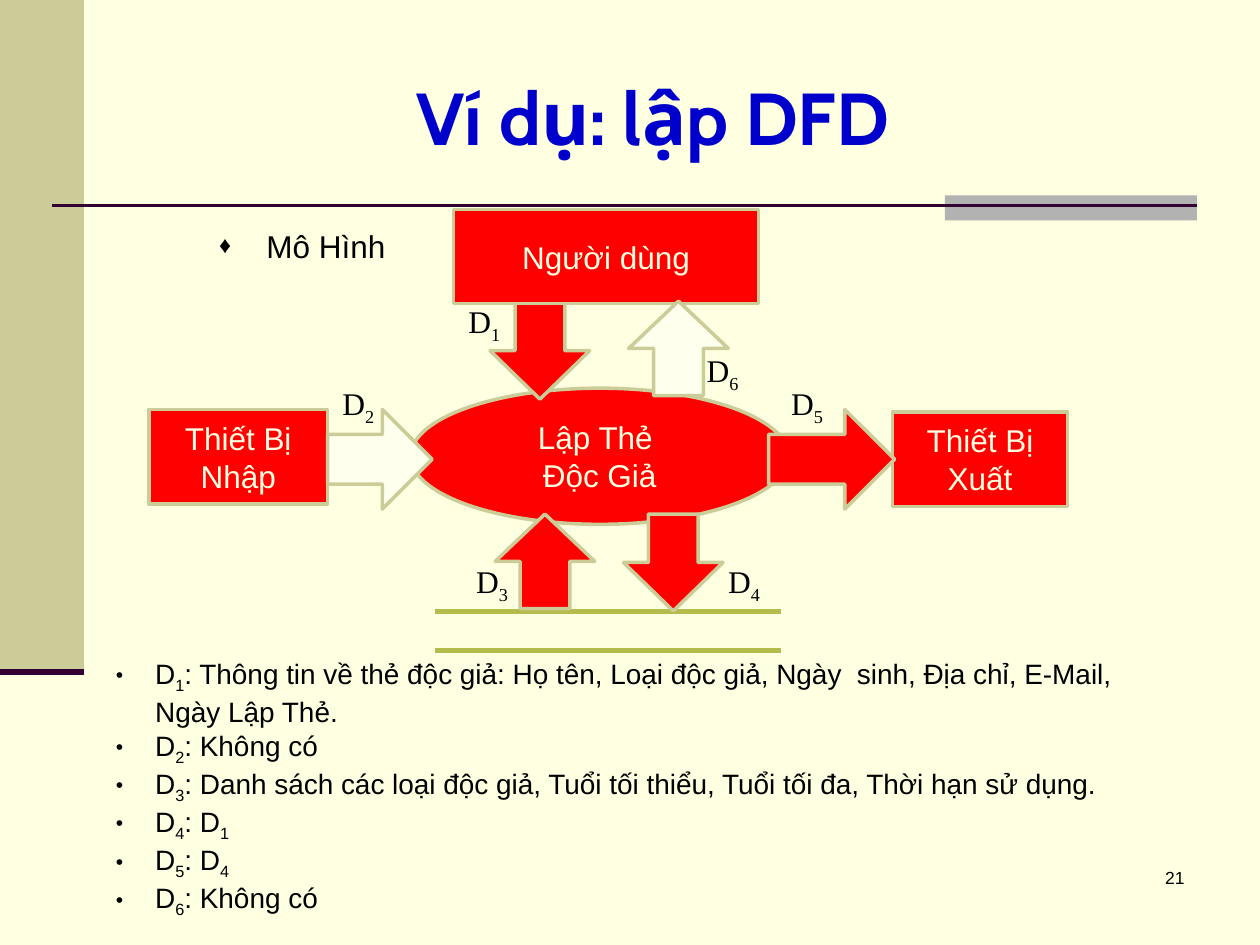
from dataclasses import dataclass

from lxml import etree
from pptx import Presentation
from pptx.dml.color import RGBColor
from pptx.enum.shapes import MSO_CONNECTOR, MSO_SHAPE
from pptx.enum.text import MSO_ANCHOR, MSO_AUTO_SIZE, PP_ALIGN
from pptx.oxml.ns import qn
from pptx.util import Pt

RECT, OVAL, ARROW = MSO_SHAPE.RECTANGLE, MSO_SHAPE.OVAL, MSO_SHAPE.RIGHT_ARROW
STRAIGHT = MSO_CONNECTOR.STRAIGHT
LEFT, CENTER, RIGHT = PP_ALIGN.LEFT, PP_ALIGN.CENTER, PP_ALIGN.RIGHT
TOP, MIDDLE = MSO_ANCHOR.TOP, MSO_ANCHOR.MIDDLE
NO_FIT = MSO_AUTO_SIZE.NONE
DOWN, UP, ACROSS = 90, 270, 0


@dataclass(frozen=True)
class Theme:
    background: str = "FFFFE1"
    rail: str = "CCCC99"
    tab: str = "B2B2B2"
    rule: str = "330033"
    title: str = "0000CC"
    node: str = "FF0000"
    empty_flow: str = "FFFFEE"
    store: str = "B4BC4C"
    text: str = "000000"
    sans: str = "Arial"
    serif: str = "Times New Roman"
    title_font: str = "Cabin"
    title_size: float = 42
    label_size: float = 18
    list_size: float = 16
    number_size: float = 10


THEME = Theme()

FLOW_NOTES = [
    "D_1: Thông tin về thẻ độc giả: Họ tên, Loại độc giả, Ngày  sinh, "
    "Địa chỉ, E-Mail, Ngày Lập Thẻ.",
    "D_2: Không có",
    "D_3: Danh sách các loại độc giả, Tuổi tối thiểu, Tuổi tối đa, "
    "Thời hạn sử dụng.",
    "D_4: D_1",
    "D_5: D_4",
    "D_6: Không có",
]


def rgb(color):
    return RGBColor.from_string(color)


def style_runs(paragraph, size, font=THEME.sans, color=THEME.text, bold=False):
    for run in paragraph.runs:
        run.font.size = Pt(size)
        run.font.name = font
        run.font.bold = bold
        run.font.color.rgb = rgb(color)


def write_subscripted(paragraph, text):
    """Write text in which the character after each underscore is lowered."""
    start, *rest = text.split("_")
    paragraph.text = start
    for part in rest:
        lowered = paragraph.add_run()
        lowered.text = part[0]
        lowered.font._element.set("baseline", "-25000")
        if part[1:]:
            paragraph.add_run().text = part[1:]


def place(holder, left, top, width, height):
    holder.left, holder.top = Pt(left), Pt(top)
    holder.width, holder.height = Pt(width), Pt(height)


def add_block(slide, kind, box, fill, outline=None, text="", turn=0):
    block = slide.shapes.add_shape(kind, *map(Pt, box))
    block.shadow.inherit = False
    block.rotation = turn
    block.fill.solid()
    block.fill.fore_color.rgb = rgb(fill)
    if outline:
        block.line.color.rgb = rgb(outline)
        block.line.width = Pt(2)
    else:
        block.line.fill.background()
    if text:
        block.text_frame.text = text
        block.text_frame.word_wrap = True
        block.text_frame.vertical_anchor = MIDDLE
        for paragraph in block.text_frame.paragraphs:
            paragraph.alignment = CENTER
            style_runs(paragraph, THEME.label_size, color=THEME.background)
    return block


def add_rule(slide, start_x, end_x, y, color, weight):
    rule = slide.shapes.add_connector(STRAIGHT, Pt(start_x), Pt(y), Pt(end_x), Pt(y))
    rule.line.color.rgb = rgb(color)
    rule.line.width = Pt(weight)
    etree.SubElement(rule._element.spPr, qn("a:effectLst"))


def add_flow_label(slide, number, left, top):
    label = slide.shapes.add_textbox(Pt(left), Pt(top), Pt(34.6), Pt(28.8))
    label.text_frame.word_wrap = False
    paragraph = label.text_frame.paragraphs[0]
    write_subscripted(paragraph, f"D_{number}")
    style_runs(paragraph, THEME.label_size, THEME.serif)


def add_bullet(paragraph, mark, margin, hang):
    properties = paragraph._p.get_or_add_pPr()
    properties.set("marL", str(Pt(margin)))
    properties.set("indent", str(-Pt(hang)))
    etree.SubElement(properties, qn("a:buSzPct")).set("val", "75000")
    etree.SubElement(properties, qn("a:buFont")).set("typeface", THEME.sans)
    etree.SubElement(properties, qn("a:buChar")).set("char", mark)


def fill_list(holder, box, items, size, mark, margin, hang, level=0):
    place(holder, *box)
    frame = holder.text_frame
    frame.auto_size = NO_FIT
    frame.vertical_anchor = TOP
    for index, item in enumerate(items):
        paragraph = frame.add_paragraph() if index else frame.paragraphs[0]
        write_subscripted(paragraph, item)
        paragraph.level = level
        paragraph.alignment = LEFT
        paragraph.space_before = paragraph.space_after = Pt(0)
        add_bullet(paragraph, mark, margin, hang)
        style_runs(paragraph, size)


def fill_title(title, text):
    place(title, 72, 21.6, 612, 90)
    title.text_frame.text = text
    title.text_frame.auto_size = NO_FIT
    title.text_frame.vertical_anchor = MIDDLE
    paragraph = title.text_frame.paragraphs[0]
    paragraph.alignment = CENTER
    style_runs(paragraph, THEME.title_size, THEME.title_font, THEME.title, True)


def add_decoration(slide):
    add_block(slide, RECT, (0, 0, 48, 384), THEME.rail)
    add_block(slide, RECT, (540, 111.6, 144, 14.4), THEME.tab)
    add_rule(slide, 30, 684, 117.5, THEME.rule, 1.5)
    add_rule(slide, 0, 48, 384, THEME.rule, 3.5)


def add_page_number(slide, number):
    page = slide.shapes.add_textbox(Pt(534), Pt(492), Pt(150), Pt(36))
    page.text_frame.word_wrap = True
    page.text_frame.text = number
    paragraph = page.text_frame.paragraphs[0]
    paragraph.alignment = RIGHT
    style_runs(paragraph, THEME.number_size)


def add_diagram(slide):
    def node(kind, text, *box):
        add_block(slide, kind, box, THEME.node, THEME.rail, text)

    def flow(turn, left, top, length, fill=THEME.node):
        add_block(slide, ARROW, (left, top, length, 56.9), fill, THEME.rail, turn=turn)

    # Process, its surroundings and the data store
    node(OVAL, "Lập Thẻ \nĐộc Giả", 234.7, 221.8, 216, 77.8)
    flow(DOWN, 280.8, 172, 55.4)
    node(RECT, "Người dùng", 259.2, 119.6, 174.2, 54)
    for y in (349.2, 371.9):
        add_rule(slide, 248.4, 446.4, y, THEME.store, 2.75)
    flow(UP, 360.7, 170.6, 54, THEME.empty_flow)
    node(RECT, "Thiết Bị Nhập", 85, 234, 102.2, 54)
    flow(ACROSS, 187.2, 234, 59.8, THEME.empty_flow)
    node(RECT, "Thiết Bị Xuất", 510, 235.4, 100, 54)
    flow(ACROSS, 439.2, 234, 72)
    flow(DOWN, 357, 293, 55.4)
    flow(UP, 284.4, 292.3, 54)

    # Flow labels D1 to D6
    label_spots = [(260.6, 169.2), (188.6, 216), (265, 317.5),
                   (409, 317.5), (445, 216), (396.7, 197.3)]
    for number, spot in enumerate(label_spots, start=1):
        add_flow_label(slide, number, *spot)


def main():
    deck = Presentation()
    deck.slide_width, deck.slide_height = Pt(720), Pt(540)
    slide = deck.slides.add_slide(deck.slide_layouts[3])
    slide.background.fill.solid()
    slide.background.fill.fore_color.rgb = rgb(THEME.background)
    title, heading, notes = slide.placeholders

    add_decoration(slide)
    fill_title(title, "Ví dụ: lập DFD ")
    fill_list(heading, (118, 126, 455.8, 41.8), ["Mô Hình"],
              THEME.label_size, "♦", 27, 27)
    add_diagram(slide)
    fill_list(notes, (23, 371.5, 643, 156.2), FLOW_NOTES,
              THEME.list_size, "•", 58.5, 22.5, level=1)
    add_page_number(slide, "21")
    deck.save("out.pptx")


if __name__ == "__main__":
    main()
